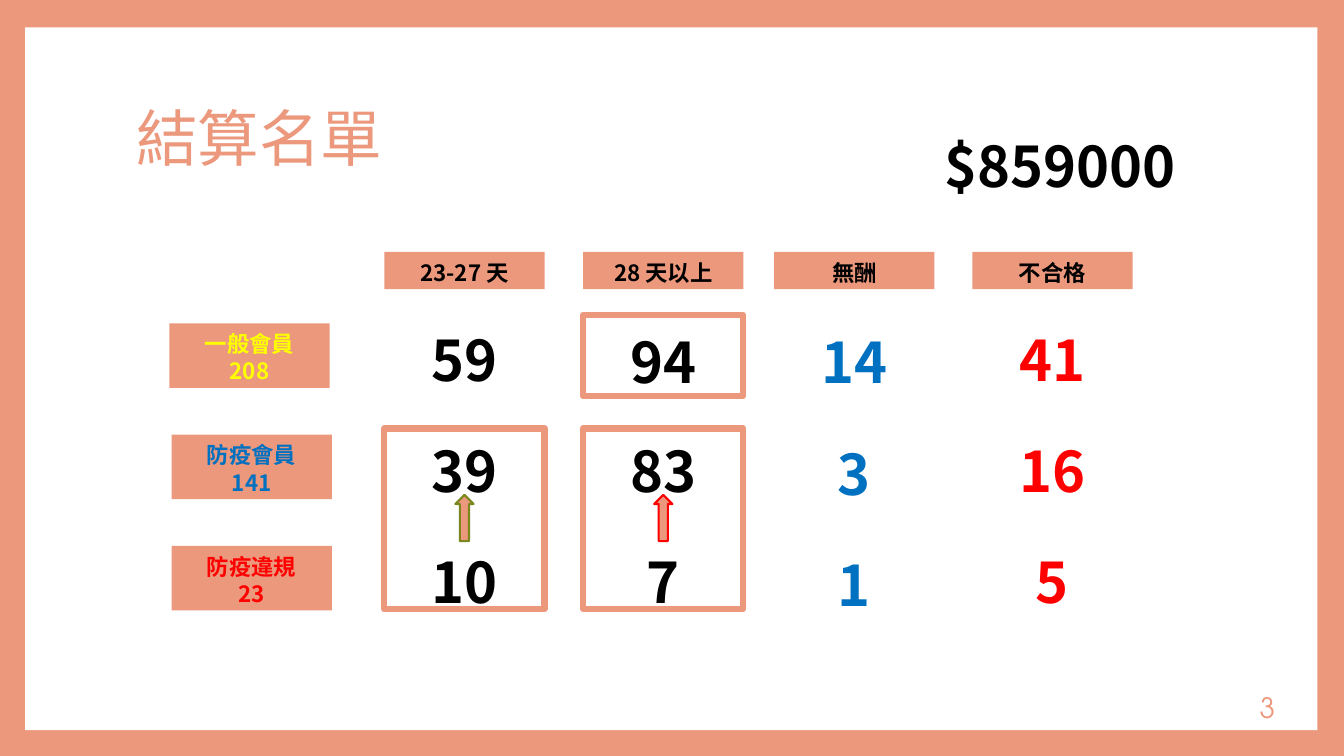
from dataclasses import dataclass

from lxml.etree import SubElement
from pptx import Presentation
from pptx.dml.color import RGBColor
from pptx.enum.shapes import MSO_SHAPE as Preset
from pptx.enum.text import MSO_ANCHOR as Anchor, PP_ALIGN as Align
from pptx.oxml.ns import qn
from pptx.util import Pt


@dataclass(frozen=True)
class Theme:
    coral: str = "EC987D"
    white: str = "FFFFFF"
    black: str = "000000"
    yellow: str = "FFFF00"
    blue: str = "0070C0"
    red: str = "FF0000"
    olive: str = "7B871D"
    heading_font: str = "TeX Gyre Adventor"
    body_font: str = "Noto Sans CJK SC"
    title_size: int = 44
    figure_size: int = 40
    page_number_size: int = 20
    label_size: int = 16


THEME = Theme()

# Table geometry, relative to the table's box
COLUMN_LEFTS = (153.5, 295.5, 432, 573.5)
ROW_PITCH = 79.5
CELL_WIDTH, FIGURE_HEIGHT = 114.5, 55.5
HEADER_HEIGHT, LABEL_HEIGHT = 26.6, 46
FIGURES_TOP, LABELS_TOP = 45.5, 51

HEADERS = ("23-27 天", "28 天以上", "無酬", "不合格")
FIGURE_COLORS = (THEME.black, THEME.black, THEME.blue, THEME.red)
MEMBERS = (
    ("一般會員", "208", THEME.yellow, (59, 94, 14, 41)),
    ("防疫會員", "141", THEME.blue, (39, 83, 3, 16)),
    ("防疫違規", "23", THEME.red, (10, 7, 1, 5)),
)


def add_block(page, box, fill=None, line=None, weight=1, preset=Preset.RECTANGLE):
    shape = page.shapes.add_shape(preset, *map(Pt, box))
    shape.shadow.inherit = False
    for paint, color in ((shape.fill, fill), (shape.line.fill, line)):
        if color:
            paint.solid()
            paint.fore_color.rgb = RGBColor.from_string(color)
        else:
            paint.background()
    if line:
        shape.line.width = Pt(weight)
    return shape


def add_span(para, text, font, size, color, bold=False):
    span = para.add_run()
    span.text = text
    span.font.name, span.font.size, span.font.bold = font, Pt(size), bold
    span.font.color.rgb = RGBColor.from_string(color)
    return span


def write_lines(shape, lines, size, color, align=Align.CENTER):
    """Set bold lines on a fixed pitch, whatever the font's own line height."""
    frame = shape.text_frame
    frame.word_wrap = True
    frame.vertical_anchor = Anchor.TOP
    frame.margin_top = Pt(round(3.6 + 0.07 * size, 1))
    frame.margin_bottom = Pt(0)
    for index, text in enumerate(lines):
        para = frame.add_paragraph() if index else frame.paragraphs[0]
        para.alignment = align
        para.line_spacing = Pt(round(1.21 * size, 1))
        span = add_span(para, text, THEME.body_font, size, color, bold=True)
        east_asian = SubElement(span.font._element, qn("a:ea"))
        east_asian.set("typeface", THEME.body_font)


def draw_frame(page, box):
    """White panel on the coral background, behind the title."""
    fill = page.background.fill
    fill.solid()
    fill.fore_color.rgb = RGBColor.from_string(THEME.coral)
    panel = add_block(page, box, THEME.white)
    page.shapes.title.element.addprevious(panel.element)


def draw_title(page, box):
    title = page.shapes.title
    title.left, title.top, title.width, title.height = map(Pt, box)
    title.text_frame.vertical_anchor = Anchor.MIDDLE
    para = title.text_frame.paragraphs[0]
    para.alignment = Align.LEFT
    para.line_spacing = 0.9
    add_span(para, "結算名單", THEME.heading_font, THEME.title_size, THEME.coral)


def draw_page_number(page, box):
    frame = page.shapes.add_textbox(*map(Pt, box)).text_frame
    frame.word_wrap = True
    frame.vertical_anchor = Anchor.MIDDLE
    para = frame.paragraphs[0]
    para.alignment = Align.RIGHT
    add_span(para, "3", THEME.heading_font, THEME.page_number_size, THEME.coral)


def draw_total(page, box):
    total = add_block(page, box, THEME.white)
    write_lines(total, ["$859000"], THEME.figure_size, THEME.black, Align.LEFT)


def draw_table(page, box):
    left, top = box[:2]
    # Column headers
    for offset, header in zip(COLUMN_LEFTS, HEADERS):
        cell = (left + offset, top, CELL_WIDTH, HEADER_HEIGHT)
        write_lines(add_block(page, cell, THEME.coral), [header],
                    THEME.label_size, THEME.black)
    # Member labels and their figures
    for row, (name, count, label_color, figures) in enumerate(MEMBERS):
        row_top = top + row * ROW_PITCH
        label_left = left if row == 0 else left + 1.5
        label = (label_left, row_top + LABELS_TOP, CELL_WIDTH, LABEL_HEIGHT)
        write_lines(add_block(page, label, THEME.coral), [name, count],
                    THEME.label_size, label_color)
        for column, figure in enumerate(figures):
            # The unpaid column and the first framed figure sit a little lower
            drop = 2 if column == 2 or (row, column) == (0, 1) else 0
            cell = (left + COLUMN_LEFTS[column], row_top + FIGURES_TOP + drop,
                    CELL_WIDTH, FIGURE_HEIGHT)
            write_lines(page.shapes.add_textbox(*map(Pt, cell)), [str(figure)],
                        THEME.figure_size, FIGURE_COLORS[column])


def draw_highlights(page, box):
    left, top = box[:2]
    first, second = (left + offset for offset in COLUMN_LEFTS[:2])
    # Outlines around the counted figures
    for x, y, height in ((second, 45, 58), (first, 126, 129), (second, 126, 129)):
        add_block(page, (x, top + y, CELL_WIDTH, height),
                  line=THEME.coral, weight=4.5)
    # Arrows from the bottom row up to the middle row
    width, height = 13, 33
    for x, color in ((first, THEME.olive), (second, THEME.red)):
        arrow = (x + (CELL_WIDTH - width) / 2, top + 173.5, width, height)
        add_block(page, arrow, THEME.coral, color, 1.5, Preset.UP_ARROW)


def main():
    deck = Presentation()
    deck.slide_width, deck.slide_height = Pt(960), Pt(540)
    page = deck.slides.add_slide(deck.slide_layouts[5])
    table_box = (121, 180, 688, 255)

    draw_frame(page, (18, 19.5, 923, 502))
    draw_title(page, (90, 48, 778, 106.5))
    draw_page_number(page, (783.5, 490.5, 134.5, 29))
    draw_table(page, table_box)
    draw_total(page, (667.5, 87, 183, 55.5))
    draw_highlights(page, table_box)
    deck.save("out.pptx")


if __name__ == "__main__":
    main()
